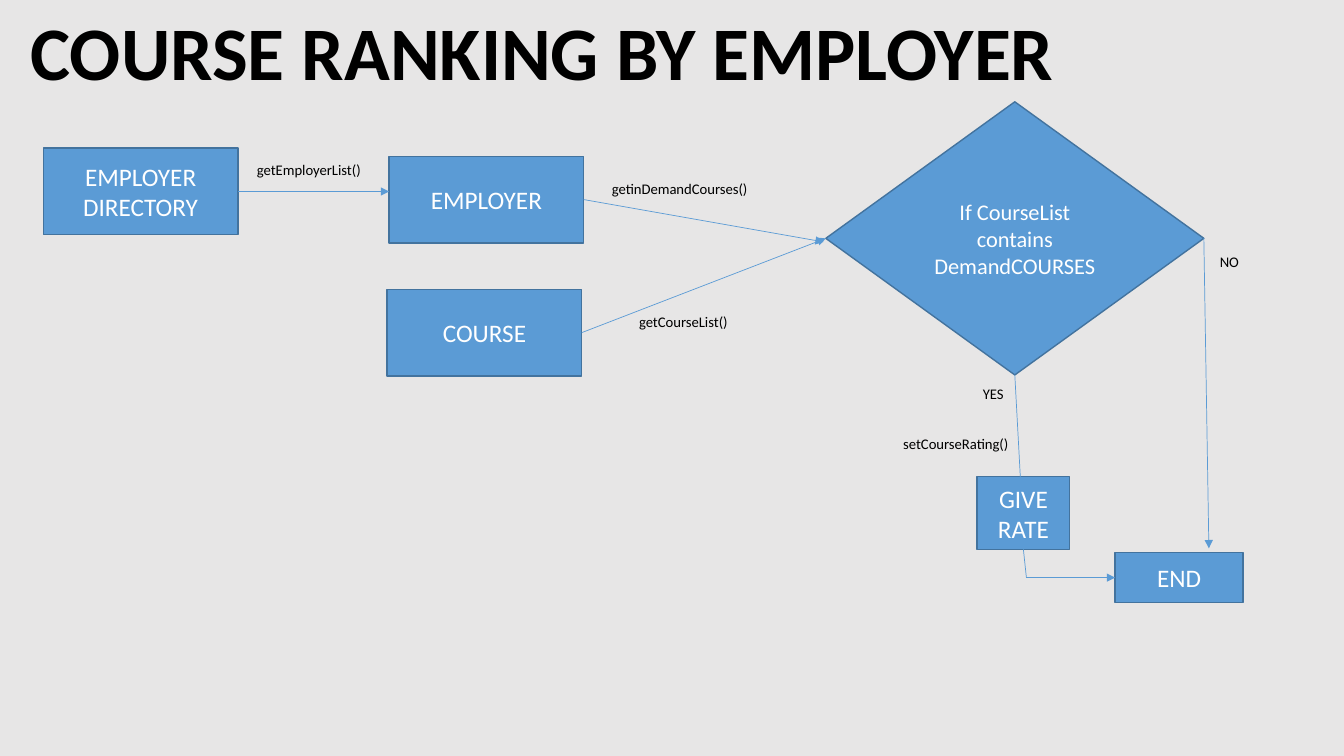
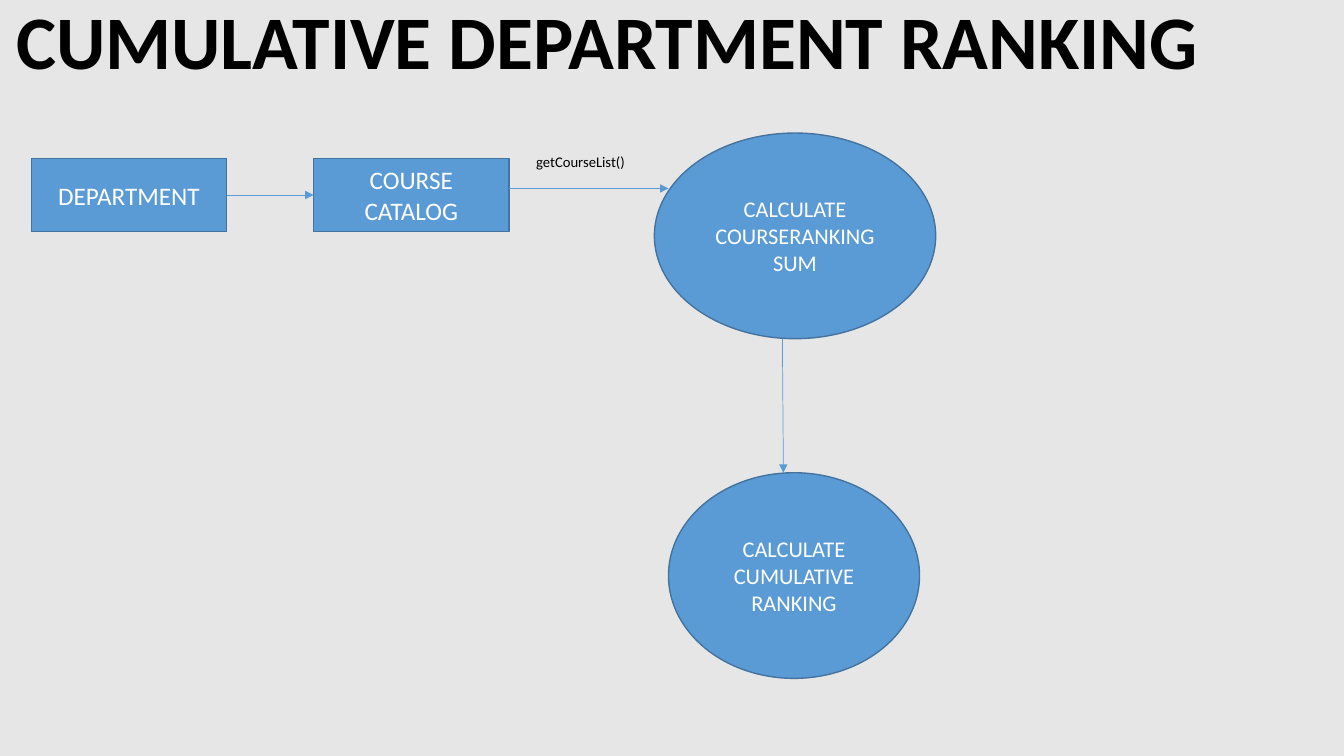
from dataclasses import dataclass

from lxml import etree
from pptx import Presentation
from pptx.dml.color import RGBColor
from pptx.enum.shapes import MSO_CONNECTOR, MSO_SHAPE
from pptx.enum.text import MSO_ANCHOR, MSO_AUTO_SIZE, PP_ALIGN
from pptx.oxml.ns import qn
from pptx.slide import Slide
from pptx.util import Inches, Pt

RECTANGLE, OVAL = MSO_SHAPE.RECTANGLE, MSO_SHAPE.OVAL
DECISION = MSO_SHAPE.FLOWCHART_DECISION
STRAIGHT = MSO_CONNECTOR.STRAIGHT
CENTER, LEFT_ALIGNED = PP_ALIGN.CENTER, PP_ALIGN.LEFT
TOP, MIDDLE = MSO_ANCHOR.TOP, MSO_ANCHOR.MIDDLE
FIT_TEXT = MSO_AUTO_SIZE.SHAPE_TO_FIT_TEXT
LEFT_SIDE, BOTTOM_SIDE, RIGHT_SIDE = 1, 2, 3
TITLE_ONLY = 5

COLORS = {
    "background": "E7E6E6",
    "node": "5B9BD5",
    "border": "43739E",
    "link": "5B9BD5",
    "dark": "000000",
    "light": "FFFFFF",
}
FONTS = {
    "title": {"size": Pt(54), "bold": True, "name": "Calibri"},
    "node": {"size": Pt(18), "name": "Calibri"},
    "step": {"size": Pt(16), "name": "Calibri"},
    "label": {"size": Pt(10.5), "name": "Calibri"},
}


def color(key):
    return RGBColor.from_string(COLORS[key])


def write(frame, text, style, color_key, align):
    paragraph = frame.paragraphs[0]
    paragraph.alignment = align
    run = paragraph.add_run()
    run.text = text
    for attribute, value in FONTS[style].items():
        setattr(run.font, attribute, value)
    run.font.color.rgb = color(color_key)
    return run


def add_titled_slide(deck, text, left, top, width):
    slide = deck.slides.add_slide(deck.slide_layouts[TITLE_ONLY])
    title = slide.shapes.title
    title.left, title.top = Inches(left), Inches(top)
    title.width, title.height = Inches(width), Inches(1.01)
    frame = title.text_frame
    frame.word_wrap = False
    frame.auto_size = FIT_TEXT
    frame.vertical_anchor = TOP
    run = write(frame, text, "title", "dark", CENTER)
    outline = etree.Element(qn("a:ln"), w=str(Pt(0.75)))
    fill = etree.SubElement(outline, qn("a:solidFill"))
    etree.SubElement(fill, qn("a:srgbClr"), val=COLORS["light"])
    run.font._element.insert(0, outline)
    return slide


@dataclass
class Flow:
    """A diagram area whose parts are placed from its top left corner."""

    slide: Slide
    left: float
    top: float

    def point(self, x, y):
        return Inches(self.left + x), Inches(self.top + y)

    def node(self, text, x, y, width, height, kind=RECTANGLE):
        node = self.slide.shapes.add_shape(
            kind, *self.point(x, y), Inches(width), Inches(height))
        node.shadow.inherit = False
        node.fill.solid()
        node.fill.fore_color.rgb = color("node")
        node.line.color.rgb = color("border")
        node.line.width = Pt(1)
        node.text_frame.vertical_anchor = MIDDLE
        style = "node" if kind == RECTANGLE else "step"
        write(node.text_frame, text, style, "light", CENTER)
        return node

    def label(self, text, x, y, width):
        label = self.slide.shapes.add_textbox(
            *self.point(x, y), Inches(width), Inches(0.28))
        label.text_frame.word_wrap = True
        label.text_frame.auto_size = FIT_TEXT
        write(label.text_frame, text, "label", "dark", LEFT_ALIGNED)

    def link(self, start, end, arrow=True):
        """Join two ends, each an (x, y) point or a (node, side) pair."""
        joined = [not isinstance(place[0], (int, float)) for place in (start, end)]
        begin_point, end_point = (
            self.point(0, 0) if is_joined else self.point(*place)
            for is_joined, place in zip(joined, (start, end)))
        link = self.slide.shapes.add_connector(STRAIGHT, *begin_point, *end_point)
        if joined[0]:
            link.begin_connect(*start)
        if joined[1]:
            link.end_connect(*end)
        link.line.color.rgb = color("link")
        link.line.width = Pt(0.5)
        if arrow:
            etree.SubElement(link.line._get_or_add_ln(), qn("a:tailEnd"), type="triangle")
        etree.SubElement(link._element.spPr, qn("a:effectLst"))


def draw_employer_flow(flow):
    box = (1.93, 0.86)
    directory = flow.node("EMPLOYER DIRECTORY", 0, 0.46, *box)
    employer = flow.node("EMPLOYER", 3.43, 0.54, *box)
    course = flow.node("COURSE", 3.41, 1.86, *box)
    demand_check = flow.node("If CourseList contains DemandCOURSES",
                             7.76, 0, 3.75, 2.71, DECISION)
    give_rate = flow.node("GIVE RATE", 9.26, 3.72, 0.92, 0.72)
    end = flow.node("END", 10.63, 4.47, 1.27, 0.5)

    corner = (9.75, 4.72)
    for start, finish, arrow in (
        ((directory, RIGHT_SIDE), (3.43, 0.89), True),
        ((employer, RIGHT_SIDE), (7.74, 1.39), True),
        ((course, RIGHT_SIDE), (demand_check, LEFT_SIDE), True),
        ((demand_check, RIGHT_SIDE), (11.56, 4.43), True),
        ((demand_check, BOTTOM_SIDE), (9.69, 3.72), False),
        ((give_rate, BOTTOM_SIDE), corner, False),
        (corner, (end, LEFT_SIDE), True),
    ):
        flow.link(start, finish, arrow)

    for label in (
        ("getEmployerList()", 2.02, 0.54, 1.33),
        ("getinDemandCourses()", 5.54, 0.72, 1.89),
        ("getCourseList()", 5.81, 2.04, 1.33),
        ("YES", 9.22, 2.76, 0.5),
        ("NO", 11.57, 1.45, 0.5),
        ("setCourseRating()", 8.43, 3.25, 1.33),
    ):
        flow.label(*label)


def draw_department_flow(flow):
    box = (1.94, 0.73)
    department = flow.node("DEPARTMENT", 0, 0.25, *box)
    catalog = flow.node("COURSE CATALOG", 2.8, 0.25, *box)
    flow.node("CALCULATE COURSERANKING SUM", 6.18, 0, 2.79, 2.04, OVAL)
    flow.node("CALCULATE CUMULATIVE RANKING", 6.32, 3.37, 2.49, 2.04, OVAL)

    flow.link((department, RIGHT_SIDE), (catalog, LEFT_SIDE))
    flow.link((4.74, 0.55), (6.32, 0.55))
    flow.link((7.45, 2.04), (7.46, 3.37))
    flow.label("getCourseList()", 4.91, 0.15, 1.2)


def main():
    deck = Presentation()
    deck.slide_width, deck.slide_height = Inches(13.33), Inches(7.5)
    background = deck.slide_master.background.fill
    background.solid()
    background.fore_color.rgb = color("background")

    employer_slide = add_titled_slide(
        deck, "COURSE RANKING BY EMPLOYER", 0.15, 0, 10.46)
    draw_employer_flow(Flow(employer_slide, 0.43, 1.01))

    department_slide = add_titled_slide(
        deck, "CUMULATIVE DEPARTMENT RANKING", 0, -0.11, 12.05)
    draw_department_flow(Flow(department_slide, 0.31, 1.32))

    deck.save("out.pptx")


if __name__ == "__main__":
    main()
